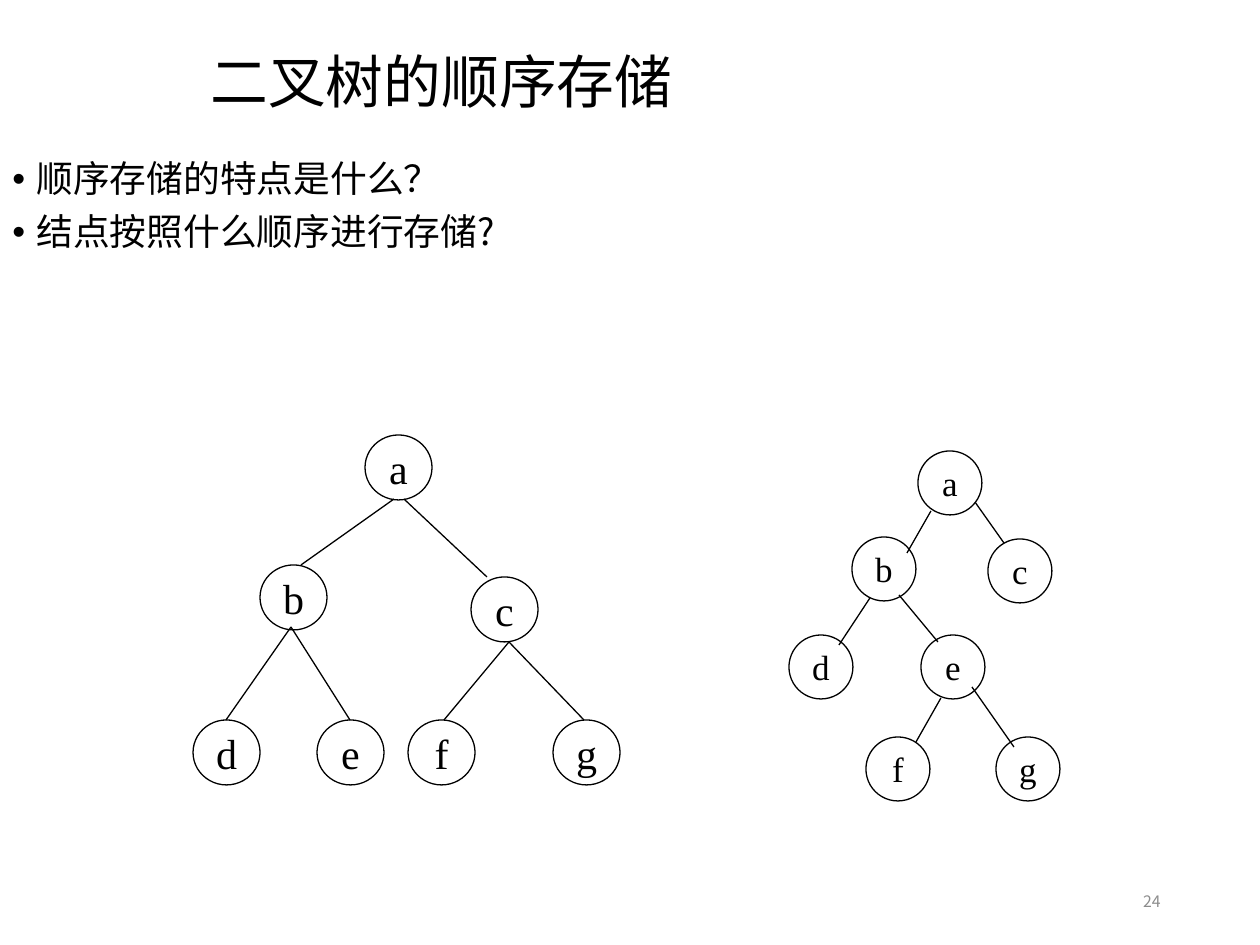
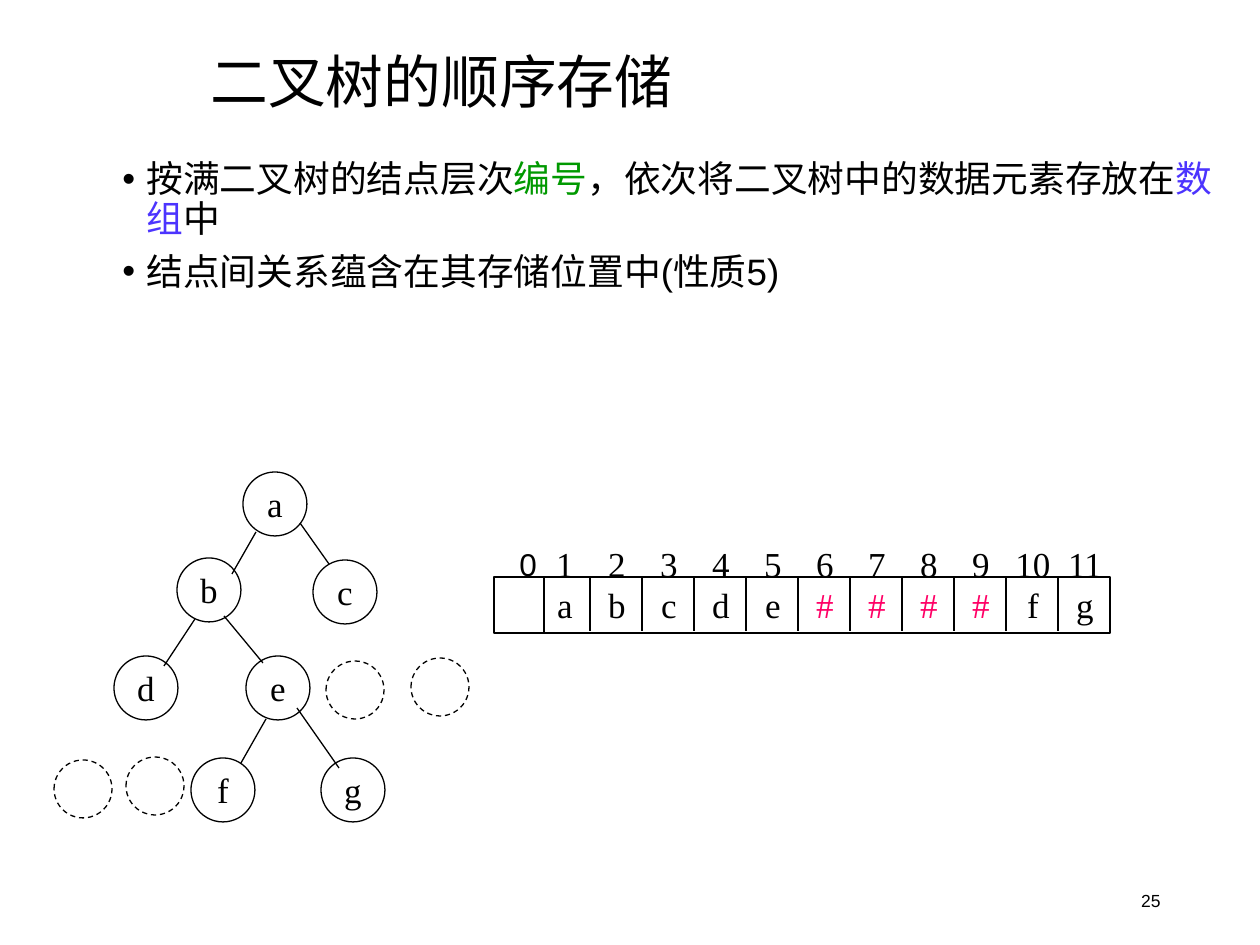
from lxml import etree
from pptx import Presentation
from pptx.dml.color import RGBColor
from pptx.enum.dml import MSO_LINE
from pptx.enum.shapes import MSO_CONNECTOR, MSO_SHAPE
from pptx.enum.text import MSO_ANCHOR as ANCHOR, PP_ALIGN as ALIGN
from pptx.oxml.ns import qn
from pptx.util import Pt

PX = 914400 // 126
BLACK = RGBColor(0x00, 0x00, 0x00)
GREY = RGBColor(0x8C, 0x8C, 0x8C)
GREEN = RGBColor(0x00, 0x99, 0x00)
VIOLET = RGBColor(0x4C, 0x34, 0xFE)
PINK = RGBColor(0xFF, 0x00, 0x66)
SANS, CJK, SERIF = "Arial", "Noto Sans CJK SC", "Times New Roman"

TITLE = "二叉树的顺序存储"
QUESTIONS = [
    [("顺序存储的特点是什么？", BLACK)],
    [("结点按照什么顺序进行存储?", BLACK)],
]
RULES = [
    [("按满二叉树的结点层次", BLACK), ("编号", GREEN),
     ("，依次将二叉树中的数据元素存放在", BLACK), ("数组", VIOLET), ("中", BLACK)],
    [("结点间关系蕴含在其存储位置中(性质5)", BLACK)],
]

# Node corners and edge ends are measured from the root's corner.
FULL_TREE = {
    "size": (67, 65), "font": 24,
    "nodes": {"a": (0, 0), "b": (-105, 130), "c": (106, 142), "d": (-172, 285),
              "e": (-48, 285), "f": (43, 285), "g": (188, 285)},
    "edges": [(29, 64, -64, 130), (39, 64, 122, 142), (-74, 192, -139, 285),
              (-74, 192, -15, 285), (144, 207, 79, 285), (144, 207, 219, 285)],
}
SPARSE_TREE = {
    "size": (64, 64), "font": 20,
    "nodes": {"a": (0, 0), "b": (-66, 86), "c": (70, 88), "d": (-129, 184),
              "e": (3, 184), "f": (-52, 286), "g": (78, 286)},
    "edges": [(13, 60, -11, 102), (57, 51, 86, 92), (-48, 147, -79, 194),
              (-19, 144, 20, 191), (54, 236, 96, 296), (23, 247, -2, 291)],
}
MISSING_NODES = [(326, 661), (411, 658), (54, 760), (126, 757)]
MISSING_SIZE = 58

STORED = ["a", "b", "c", "d", "e", "#", "#", "#", "#", "f", "g"]
ARRAY_X, ARRAY_Y, ARRAY_W, ARRAY_H = 544, 577, 566, 56
SLOT_0_W, SLOT_1_W, SLOT_W, FIRST_CENTRE = 50, 46, 52, 21


def px(*lengths):
    return [n * PX for n in lengths]


def style(r, size, font, color=BLACK):
    r.font.size, r.font.name = Pt(size), font
    r.font.color.rgb = color
    ea = etree.SubElement(r.font._element, qn("a:ea"))
    ea.set("typeface", CJK)


def add_runs(p, parts, size, font):
    for text, color in parts:
        r = p.add_run()
        r.text = text
        style(r, size, font, color)


def add_text(shapes, box, text, size, font, color=BLACK, anchor=ANCHOR.MIDDLE):
    sp = shapes.add_textbox(*px(*box))
    tf = sp.text_frame
    tf.word_wrap, tf.vertical_anchor = True, anchor
    p = tf.paragraphs[0]
    if text:
        p.text = text
        style(p.runs[0], size, font, color)
    return tf


def add_outline(shapes, kind, box):
    sp = shapes.add_shape(kind, *px(*box))
    sp.shadow.inherit = False
    sp.fill.background()
    sp.line.color.rgb, sp.line.width = BLACK, Pt(0.75)
    return sp


def add_line(shapes, *ends):
    line = shapes.add_connector(MSO_CONNECTOR.STRAIGHT, *px(*ends))
    line.line.color.rgb, line.line.width = BLACK, Pt(0.75)
    etree.SubElement(line._element.spPr, qn("a:effectLst"))


def no_margins(tf):
    tf.margin_left = tf.margin_right = tf.margin_top = tf.margin_bottom = 0


def add_bullets(slide, box, items, font):
    tf = add_text(slide.shapes, box, "", 21, font, anchor=ANCHOR.TOP)
    for i, parts in enumerate(items):
        p = tf.add_paragraph() if i else tf.paragraphs[0]
        p.line_spacing, p.space_before = 0.9, Pt(7.5)
        pPr = p._p.get_or_add_pPr()
        pPr.set("marL", str(24 * PX))
        pPr.set("indent", str(-24 * PX))
        etree.SubElement(pPr, qn("a:buFont")).set("typeface", SANS)
        etree.SubElement(pPr, qn("a:buChar")).set("char", "•")
        add_runs(p, parts, 21, font)


def add_tree(slide, tree, x, y):
    shapes = slide.shapes.add_group_shape().shapes
    for name, (dx, dy) in tree["nodes"].items():
        sp = add_outline(shapes, MSO_SHAPE.OVAL, (x + dx, y + dy, *tree["size"]))
        tf = sp.text_frame
        no_margins(tf)
        tf.word_wrap, tf.vertical_anchor = False, ANCHOR.MIDDLE
        p = tf.paragraphs[0]
        p.text, p.alignment = name, ALIGN.CENTER
        style(p.runs[0], tree["font"], SERIF)
    for x1, y1, x2, y2 in tree["edges"]:
        add_line(shapes, x + x1, y + y1, x + x2, y + y2)


def fill_slots(tf, parts):
    """Centre one entry over each array slot with tab stops."""
    no_margins(tf)
    tf.word_wrap, tf.vertical_anchor = True, ANCHOR.MIDDLE
    p = tf.paragraphs[0]
    p.alignment = ALIGN.LEFT
    tabs = etree.SubElement(p._p.get_or_add_pPr(), qn("a:tabLst"))
    for i in range(len(parts)):
        tab = etree.SubElement(tabs, qn("a:tab"))
        tab.set("pos", str((FIRST_CENTRE + i * SLOT_W) * PX))
        tab.set("algn", "ctr")
    add_runs(p, [("\t" + text, color) for text, color in parts], 20, SERIF)


def add_array(slide):
    shapes = slide.shapes
    frame = add_outline(shapes, MSO_SHAPE.RECTANGLE, (ARRAY_X, ARRAY_Y, ARRAY_W, ARRAY_H))
    fill_slots(frame.text_frame, [(s, PINK if s == "#" else BLACK) for s in STORED])
    for i in range(len(STORED) - 1):
        x = ARRAY_X + SLOT_1_W + i * SLOT_W
        add_line(shapes, x, ARRAY_Y + 1, x, ARRAY_Y + 54)
    indices = add_text(shapes, (ARRAY_X, 536, ARRAY_W, 54), "", 20, SERIF)
    fill_slots(indices, [(str(i + 1), BLACK) for i in range(len(STORED))])
    add_outline(shapes, MSO_SHAPE.RECTANGLE,
                (ARRAY_X - SLOT_0_W, ARRAY_Y, SLOT_0_W, ARRAY_H))
    add_text(shapes, (507, 539, 37, 50), "0", 18, SANS, anchor=ANCHOR.TOP)


def add_slide(prs, number, size, font, color):
    slide = prs.slides.add_slide(prs.slide_layouts[6])
    tf = add_text(slide.shapes, (890, 876, 283, 50), str(number), size, font, color)
    tf.paragraphs[0].alignment = ALIGN.RIGHT
    tf = add_text(slide.shapes, (198, 44, 1062, 82), TITLE, 33, CJK)
    tf.paragraphs[0].line_spacing = 0.9
    return slide


def main():
    prs = Presentation()
    prs.slide_width, prs.slide_height = px(1260, 945)

    slide = add_slide(prs, 24, 9, CJK, GREY)
    add_bullets(slide, (0, 155, 1131, 197), QUESTIONS, CJK)
    add_tree(slide, SPARSE_TREE, 918, 451)
    add_tree(slide, FULL_TREE, 365, 435)

    slide = add_slide(prs, 25, 10, SANS, BLACK)
    add_bullets(slide, (110, 155, 1150, 331), RULES, SANS)
    add_tree(slide, SPARSE_TREE, 243, 472)
    add_array(slide)
    for x, y in MISSING_NODES:
        sp = add_outline(slide.shapes, MSO_SHAPE.OVAL, (x, y, MISSING_SIZE, MISSING_SIZE))
        sp.line.dash_style = MSO_LINE.DASH

    prs.save("out.pptx")


if __name__ == "__main__":
    main()
